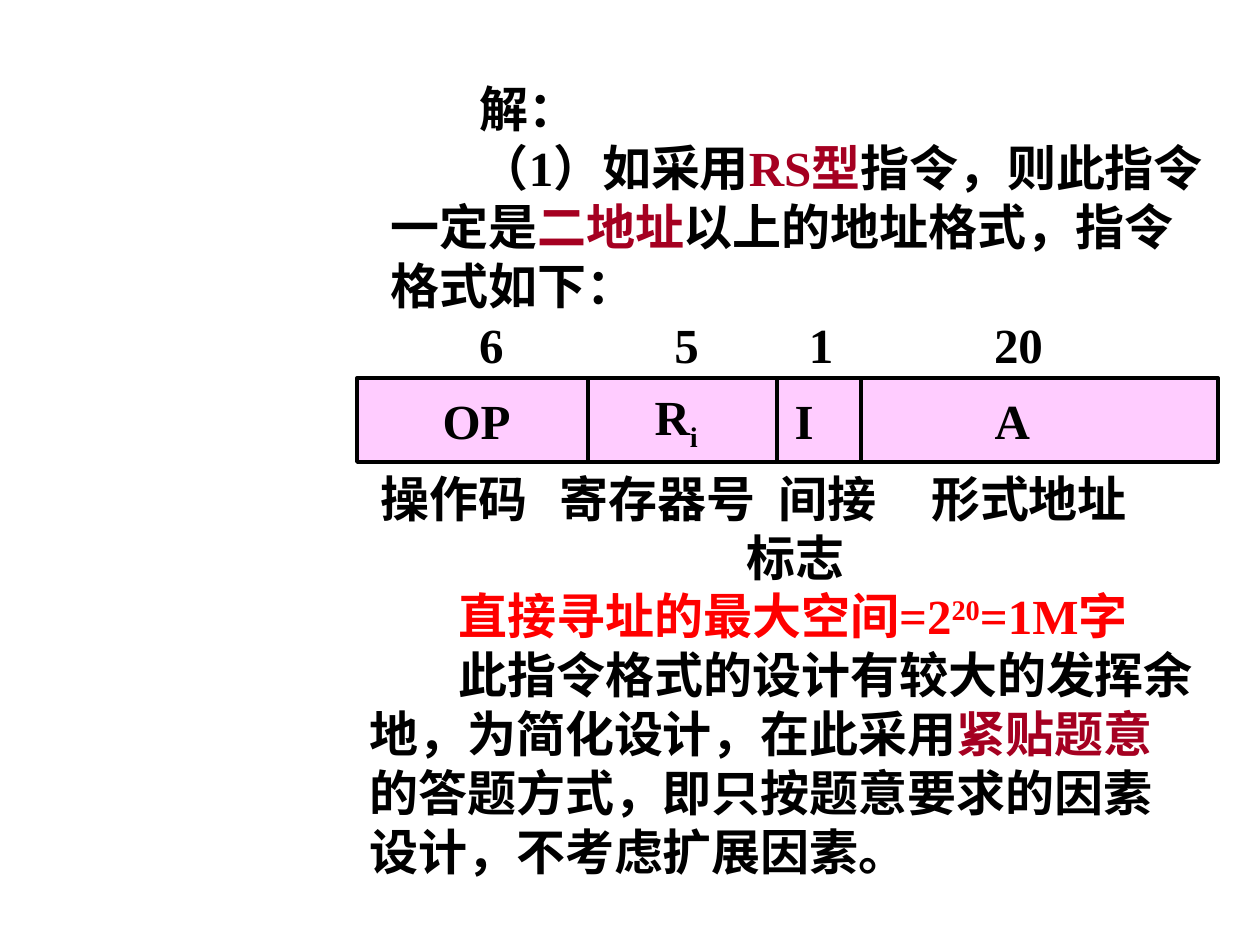
from dataclasses import dataclass

import lxml.etree
import pptx
import pptx.dml.color
import pptx.enum.shapes
import pptx.enum.text
import pptx.oxml.ns
import pptx.util


@dataclass(frozen=True)
class Theme:
    font: str = "Times New Roman"
    size: float = 28
    line: float = 2.25
    ink: str = "000000"
    accent: str = "A50021"
    alert: str = "FF0000"
    bar: str = "FFCCFF"


@dataclass(frozen=True)
class Run:
    text: str
    color: str = Theme.ink
    baseline: int = 0  # percent; negative is subscript


@dataclass(frozen=True)
class Para:
    runs: tuple[Run, ...]
    indent: float = 0  # first line, inches


@dataclass(frozen=True)
class Area:
    col: float
    row: float
    cols: float
    rows: float


@dataclass(frozen=True)
class Label:
    center: float  # grid column
    runs: tuple[Run, ...]


THEME = Theme()
UNIT = 1 / 6  # the slide is a grid of 60 columns by 45 rows
FIRST_LINE = 0.71
LABEL_COLS, LABEL_ROWS = 12, 3

QUESTION = Area(18, 2, 40, 14.7)
BAR = Area(17, 18, 41, 4)
CONCLUSION = Area(17, 27.6, 40.5, 14.6)
DIVIDERS = (28, 37, 41)

QUESTION_TEXT = (
    Para((Run("解："),), FIRST_LINE),
    Para((Run("（1）如采用"), Run("RS型", THEME.accent),
          Run("指令，则此指令一定是"), Run("二地址", THEME.accent),
          Run("以上的地址格式，指令格式如下：")), FIRST_LINE),
)
CONCLUSION_TEXT = (
    Para((Run("直接寻址的最大空间=2", THEME.alert), Run("20", THEME.alert, 30),
          Run("=1M字", THEME.alert)), FIRST_LINE),
    Para((Run("此指令格式的设计有较大的发挥余地，为简化设计，在此采用"),
          Run("紧贴题意", THEME.accent),
          Run("的答题方式，即只按题意要求的因素设计，不考虑扩展因素。")), FIRST_LINE),
)

# Rows of labels around the bar, keyed by the grid row of their middle
LABELS = {
    16.4: (Label(23.4, (Run("6"),)), Label(32.7, (Run("5"),)),
           Label(39.1, (Run("1"),)), Label(48.5, (Run("20"),))),
    20: (Label(22.7, (Run("OP"),)), Label(32.2, (Run("R"), Run("i", baseline=-25))),
         Label(38.3, (Run("I"),)), Label(48.2, (Run("A"),))),
    23.7: (Label(21.6, (Run("操作码"),)), Label(31.3, (Run("寄存器号"),)),
           Label(39.4, (Run("间接"),)), Label(49, (Run("形式地址"),))),
    26.5: (Label(37.9, (Run("标志"),)),),
}


def grid(n: float) -> int:
    return pptx.util.Inches(n * UNIT)


def box(area: Area) -> tuple[int, int, int, int]:
    return grid(area.col), grid(area.row), grid(area.cols), grid(area.rows)


def rgb(color: str) -> pptx.dml.color.RGBColor:
    return pptx.dml.color.RGBColor.from_string(color)


def draw_text(s, area: Area, paras: tuple[Para, ...], centered: bool = False) -> None:
    align = pptx.enum.text.PP_ALIGN
    tf = s.shapes.add_textbox(*box(area)).text_frame
    tf.word_wrap = True
    tf.vertical_anchor = pptx.enum.text.MSO_ANCHOR.MIDDLE
    for i, para in enumerate(paras):
        p = tf.add_paragraph() if i else tf.paragraphs[0]
        p.alignment = align.CENTER if centered else align.LEFT
        if para.indent:
            ppr = p._p.get_or_add_pPr()
            ppr.set("marL", "0")
            ppr.set("indent", str(pptx.util.Inches(para.indent)))
        for run in para.runs:
            r = p.add_run()
            r.text = run.text
            r.font.name = THEME.font
            r.font.size = pptx.util.Pt(THEME.size)
            r.font.bold = True
            r.font.color.rgb = rgb(run.color)
            if run.baseline:
                r._r.get_or_add_rPr().set("baseline", str(run.baseline * 1000))


def draw_label(s, label: Label, middle: float) -> None:
    area = Area(label.center - LABEL_COLS / 2, middle - LABEL_ROWS / 2,
                LABEL_COLS, LABEL_ROWS)
    draw_text(s, area, (Para(label.runs),), centered=True)


def stroke(line) -> None:
    line.color.rgb = rgb(THEME.ink)
    line.width = pptx.util.Pt(THEME.line)


def draw_bar(s) -> None:
    sp = s.shapes.add_shape(pptx.enum.shapes.MSO_SHAPE.RECTANGLE, *box(BAR))
    sp.shadow.inherit = False
    sp.fill.solid()
    sp.fill.fore_color.rgb = rgb(THEME.bar)
    stroke(sp.line)


def draw_divider(s, col: float) -> None:
    sp = s.shapes.add_connector(pptx.enum.shapes.MSO_CONNECTOR.STRAIGHT,
                                grid(col), grid(BAR.row),
                                grid(col), grid(BAR.row + BAR.rows))
    stroke(sp.line)
    lxml.etree.SubElement(sp._element.spPr, pptx.oxml.ns.qn("a:effectLst"))


def main() -> None:
    prs = pptx.Presentation()
    prs.slide_width, prs.slide_height = grid(60), grid(45)
    s = prs.slides.add_slide(prs.slide_layouts[6])

    # Question
    draw_text(s, QUESTION, QUESTION_TEXT)

    # Instruction format bar with bit widths, fields and names
    draw_bar(s)
    for col in DIVIDERS:
        draw_divider(s, col)
    for middle, labels in LABELS.items():
        for label in labels:
            draw_label(s, label, middle)

    # Conclusion
    draw_text(s, CONCLUSION, CONCLUSION_TEXT)

    prs.save("out.pptx")


if __name__ == "__main__":
    main()
